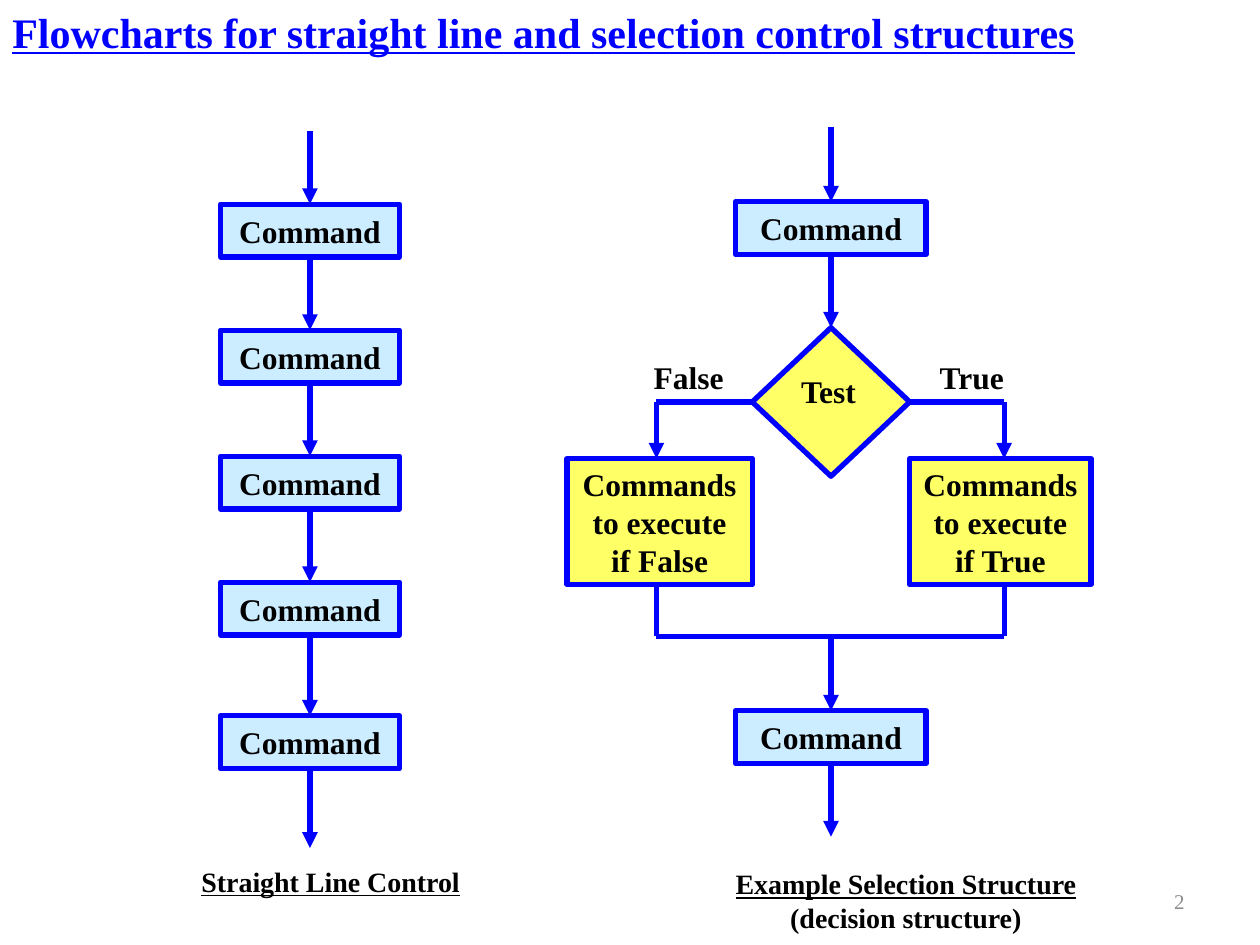
from lxml.etree import SubElement
from pptx import Presentation
from pptx.dml.color import RGBColor
from pptx.enum.shapes import MSO_CONNECTOR, MSO_SHAPE
from pptx.enum.text import MSO_ANCHOR, PP_ALIGN
from pptx.oxml.ns import qn
from pptx.util import Inches, Pt

THEME = {
    "font": "Times New Roman", "line": 3,
    "blue": "0000FF", "sky": "CCECFF", "yellow": "FFFF66",
    "ink": "000000", "grey": "8C8C8C",
    "title": 24, "body": 18, "label": 16, "page": 12,
}
RECT, DIAMOND = MSO_SHAPE.RECTANGLE, MSO_SHAPE.DIAMOND
LEFT, CENTER, RIGHT = PP_ALIGN.LEFT, PP_ALIGN.CENTER, PP_ALIGN.RIGHT
TOP, WEST, BOTTOM, EAST = range(4)
COLS, ROWS = 100, 75

STEPS = [16.2, 26.2, 36.2, 46.2, 56.8]
NODES = {
    step: (RECT, (17.5, row, 14.2, 4.2), "sky", "Command")
    for step, row in enumerate(STEPS)
}
NODES.update({
    "first": (RECT, (58.4, 16, 15.1, 4.2), "sky", "Command"),
    "test": (DIAMOND, (59.7, 26, 12.5, 11.8), "yellow", ""),
    "false": (RECT, (45, 36.4, 14.7, 10), "yellow", "Commands\nto execute\nif False"),
    "true": (RECT, (72.2, 36.4, 14.4, 10), "yellow", "Commands\nto execute\nif True"),
    "last": (RECT, (58.4, 56.4, 15.1, 4.2), "sky", "Command"),
})

MID, NO, YES, FORK, JOIN = 65.95, 52.1, 79.7, 31.9, 50.5
ARROWS = [((24.6, 10.4), (0, TOP))]
ARROWS += [((step, BOTTOM), (step + 1, TOP)) for step in range(len(STEPS) - 1)]
ARROWS += [
    ((len(STEPS) - 1, BOTTOM), (24.6, 67.3)),
    ((MID, 10.1), ("first", TOP)),
    (("first", BOTTOM), ("test", TOP)),
    ((NO, FORK), (NO, 36.4)),
    ((YES, FORK), (YES, 36.4)),
    ((MID, JOIN), ("last", TOP)),
    (("last", BOTTOM), (MID, 66.4)),
]
LINES = [
    (("test", WEST), (NO, FORK)),
    (("test", EAST), (YES, FORK)),
    ((NO, 46.4), (NO, JOIN)),
    ((YES, 46.4), (YES, JOIN)),
    ((NO, JOIN), (YES, JOIN)),
]
TEXTS = [
    ((0, 0, 89, 5.1), "Flowcharts for straight line and selection control structures",
     "title", "blue", LEFT, True),
    ((15, 68.1, 22.7, 3.7), "Straight Line Control", "label", "ink", LEFT, True),
    ((57, 68.3, 29.8, 6.4), "Example Selection Structure\n(decision structure)",
     "label", "ink", CENTER, True),
    ((62.6, 29, 6.6, 4), "Test", "body", "ink", LEFT, False),
    ((73.6, 27.9, 7.3, 4), "True", "body", "ink", LEFT, False),
    ((50.9, 27.9, 7.6, 4), "False", "body", "ink", LEFT, False),
    ((71.7, 69.9, 23.3, 3.2), "2", "page", "grey", RIGHT, False),
]

deck = Presentation()
deck.slide_width, deck.slide_height = Inches(10), Inches(7.5)
slide = deck.slides.add_slide(deck.slide_layouts[6])
shapes = slide.shapes


def place(col, row):
    return round(deck.slide_width * col / COLS), round(deck.slide_height * row / ROWS)


def color(name):
    return RGBColor.from_string(THEME[name])


def stroke(line):
    line.color.rgb = color("blue")
    line.width = Pt(THEME["line"])


def write(shape, text, size, ink, align, under=False):
    frame = shape.text_frame
    frame.text = text
    frame.word_wrap = False
    for index, para in enumerate(frame.paragraphs):
        para.alignment = align
        for run in para.runs:
            font = run.font
            font.name, font.size = THEME["font"], Pt(THEME[size])
            font.bold = size != "page"
            font.underline = under and index == 0
            font.color.rgb = color(ink)


def draw(start, end, arrow):
    line = shapes.add_connector(MSO_CONNECTOR.STRAIGHT, 0, 0, 0, 0)
    if start[0] in boxes:
        line.begin_connect(boxes[start[0]], start[1])
    else:
        line.begin_x, line.begin_y = place(*start)
    if end[0] in boxes:
        line.end_connect(boxes[end[0]], end[1])
    else:
        line.end_x, line.end_y = place(*end)
    stroke(line.line)
    if arrow:
        SubElement(line.line._get_or_add_ln(), qn("a:tailEnd"), type="triangle")
    SubElement(line._element.spPr, qn("a:effectLst"))


boxes = {}
for name, (kind, area, fill, text) in NODES.items():
    box = shapes.add_shape(kind, *place(*area[:2]), *place(*area[2:]))
    box.shadow.inherit = False
    box.fill.solid()
    box.fill.fore_color.rgb = color(fill)
    stroke(box.line)
    if text:
        write(box, text, "body", "ink", CENTER)
        box.text_frame.vertical_anchor = MSO_ANCHOR.MIDDLE
    boxes[name] = box

for group, arrow in ((LINES, False), (ARROWS, True)):
    for start, end in group:
        draw(start, end, arrow)

for area, text, size, ink, align, under in TEXTS:
    box = shapes.add_textbox(*place(*area[:2]), *place(*area[2:]))
    write(box, text, size, ink, align, under)
    if size == "page":
        box.text_frame.word_wrap = True
        box.text_frame.vertical_anchor = MSO_ANCHOR.MIDDLE

deck.save("out.pptx")
